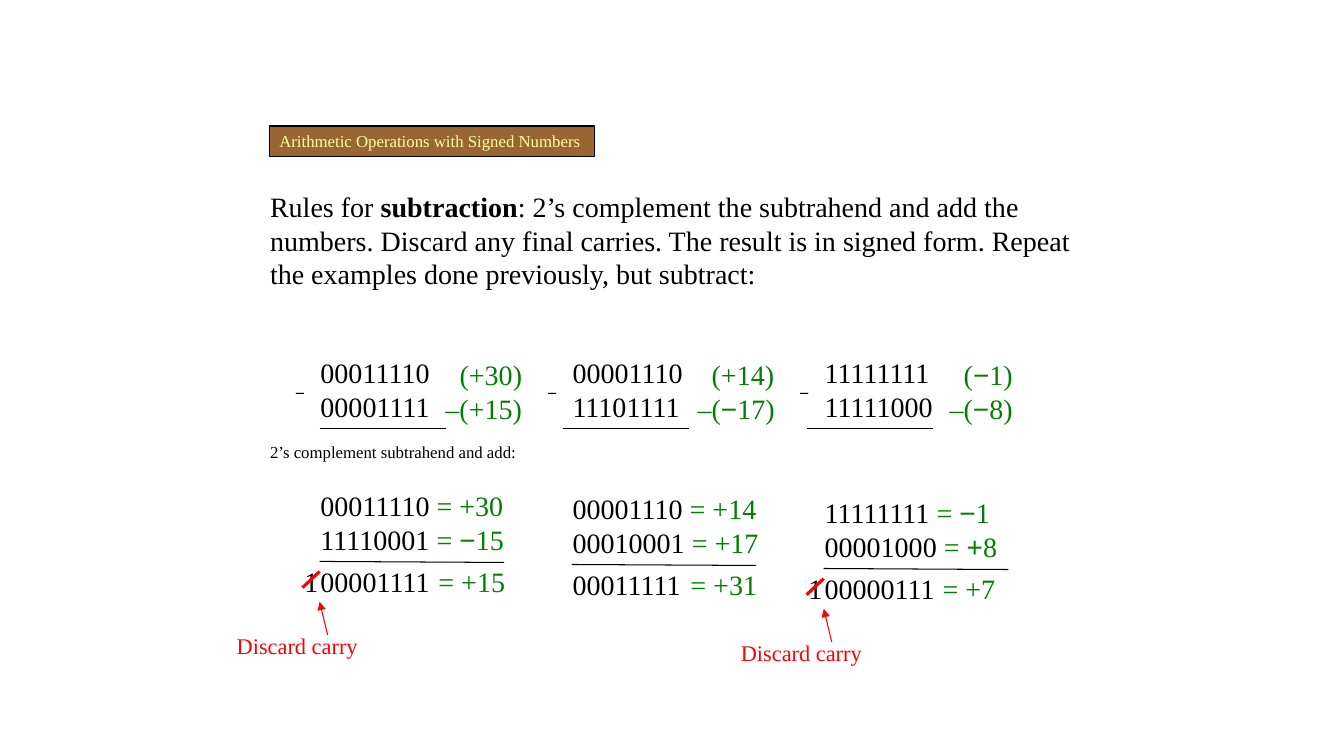
from lxml.etree import SubElement
from pptx import Presentation
from pptx.dml.color import RGBColor
from pptx.enum.shapes import MSO_CONNECTOR
from pptx.enum.text import MSO_ANCHOR, MSO_AUTO_SIZE, PP_ALIGN
from pptx.oxml.ns import qn
from pptx.util import Pt

PX = 9144  # 100 px to the inch
COLOURS = {"black": "000000", "green": "008000", "red": "FF0000",
           "brown": "996633", "cream": "FFFF99"}
SERIF, SANS = "Times New Roman", "Arial"

# Content: text between bars is set in the sans font
TITLE = "Arithmetic Operations with Signed Numbers"
RULES = [("Rules for ", {}), ("subtraction", {"bold": True}),
         (": 2’s complement the subtrahend and add the numbers. Discard any final "
          "carries. The result is in signed form. Repeat the examples done "
          "previously, but subtract:", {})]
STEP = "2’s complement subtrahend and add:"
EXAMPLES = [
    {"operands": ["00011110", "00001111"], "values": ["(+30)", "–(+15)"],
     "addends": [("00011110 ", "= +30"), ("11110001 ", "= |−|15")],
     "sum": "00001111", "result": "= +15", "carry": "1", "rule_x": 317, "drop": 0},
    {"operands": ["00001110", "11101111"], "values": ["(+14)", "–(|−|17)"],
     "addends": [("00001110 ", "= +14"), ("00010001 ", "= +17")],
     "sum": "00011111", "result": "= +31", "carry": "", "rule_x": 558, "drop": 3},
    {"operands": ["11111111", "11111000"], "values": ["(|−|1)", "–(|−|8)"],
     "addends": [("11111111 ", "= |−|1"), ("00001000 ", "= |+|8")],
     "sum": "00000111", "result": "= +7", "carry": "1", "rule_x": 800, "drop": 7},
]
COLUMN_X, COLUMN_STEP = 308, 250
VALUE_INDENTS = (21, 7)

prs = Presentation()
prs.slide_width, prs.slide_height = 1333 * PX, 750 * PX
slide = prs.slides.add_slide(prs.slide_layouts[5])


def rgb(name):
    return RGBColor.from_string(COLOURS[name])


def write(tf, paragraphs, size, colour, wrap=True, indents=(),
          fit=MSO_AUTO_SIZE.SHAPE_TO_FIT_TEXT):
    """Each paragraph is a list of (text, format) runs."""
    tf.word_wrap = wrap
    tf.auto_size = fit
    tf.vertical_anchor = MSO_ANCHOR.TOP
    for i, runs in enumerate(paragraphs):
        p = tf.paragraphs[0] if i == 0 else tf.add_paragraph()
        p.alignment = PP_ALIGN.LEFT
        if indents:
            p._p.get_or_add_pPr().set("marL", str(indents[i] * PX))
        for text, fmt in runs:
            for n, piece in enumerate(text.split("|")):
                if not piece:
                    continue
                r = p.add_run()
                r.text = piece
                look = {"name": SANS if n % 2 else SERIF, "size": Pt(size),
                        "bold": fmt.get("bold", False)}
                for key, value in look.items():
                    setattr(r.font, key, value)
                r.font.color.rgb = rgb(fmt.get("colour", colour))


def add_text(x, y, w, h, paragraphs, size=20, colour="black", **options):
    s = slide.shapes.add_textbox(x * PX, y * PX, w * PX, h * PX)
    write(s.text_frame, paragraphs, size, colour, **options)


def add_line(x1, y1, x2, y2, colour="black", width=0.75, arrow=False):
    s = slide.shapes.add_connector(MSO_CONNECTOR.STRAIGHT,
                                   x1 * PX, y1 * PX, x2 * PX, y2 * PX)
    s.line.color.rgb = rgb(colour)
    s.line.width = Pt(width)
    if arrow:
        SubElement(s.line._get_or_add_ln(), qn("a:tailEnd"), type="triangle")
    SubElement(s._element.spPr, qn("a:effectLst"))


def plain(*lines):
    return [[(line, {})] for line in lines]


# Title bar, kept at a fixed height
title = slide.shapes.title
box = {"left": 267, "top": 125, "width": 323, "height": 30}
for side, length in box.items():
    setattr(title, side, length * PX)
title.fill.solid()
title.fill.fore_color.rgb = rgb("brown")
title.line.color.rgb = rgb("black")
title.line.width = Pt(0.75)
write(title.text_frame, plain(TITLE), 12, "cream", wrap=False,
      fit=MSO_AUTO_SIZE.NONE)

# Explanations
add_text(258, 183, 833, 145, [RULES])
add_text(258, 433, 517, 30, plain(STEP), 12)

# Worked examples, one per column
for i, ex in enumerate(EXAMPLES):
    x, drop = COLUMN_X + i * COLUMN_STEP, ex["drop"]

    # Subtraction
    add_text(x, 348, 158, 77, plain(*ex["operands"]))
    add_text(x - 25, 375, 50, 30, plain("|−|"), 12)
    add_text(x + 117, 350, 117, 77, plain(*ex["values"]), colour="green",
             indents=VALUE_INDENTS)
    add_line(ex["rule_x"], 425, ex["rule_x"] + 125, 425)

    # Addition of the complement
    addends = [[(bits, {}), (value, {"colour": "green"})]
               for bits, value in ex["addends"]]
    add_text(x, 480 + drop, 225, 77, addends)
    add_line(x + 9, 557 + drop, x + 192, 558 + drop)
    add_text(x, 555 + drop, 175, 43, plain(ex["sum"]))
    add_text(x + 117, 555 + drop, 117, 43, plain(ex["result"]), colour="green")

    # Discarded carry
    if ex["carry"]:
        add_text(x - 16, 555 + drop, 34, 43, plain(ex["carry"]), wrap=False)
        add_line(x - 8, 583 + drop, x + 9, 567 + drop, "red", 2.25)
        add_text(x - 83, 622 + drop, 167, 37, plain("Discard carry"), 16, "red")
        add_line(x + 17, 630 + drop, x + 9, 597 + drop, "red", arrow=True)

prs.save("out.pptx")
